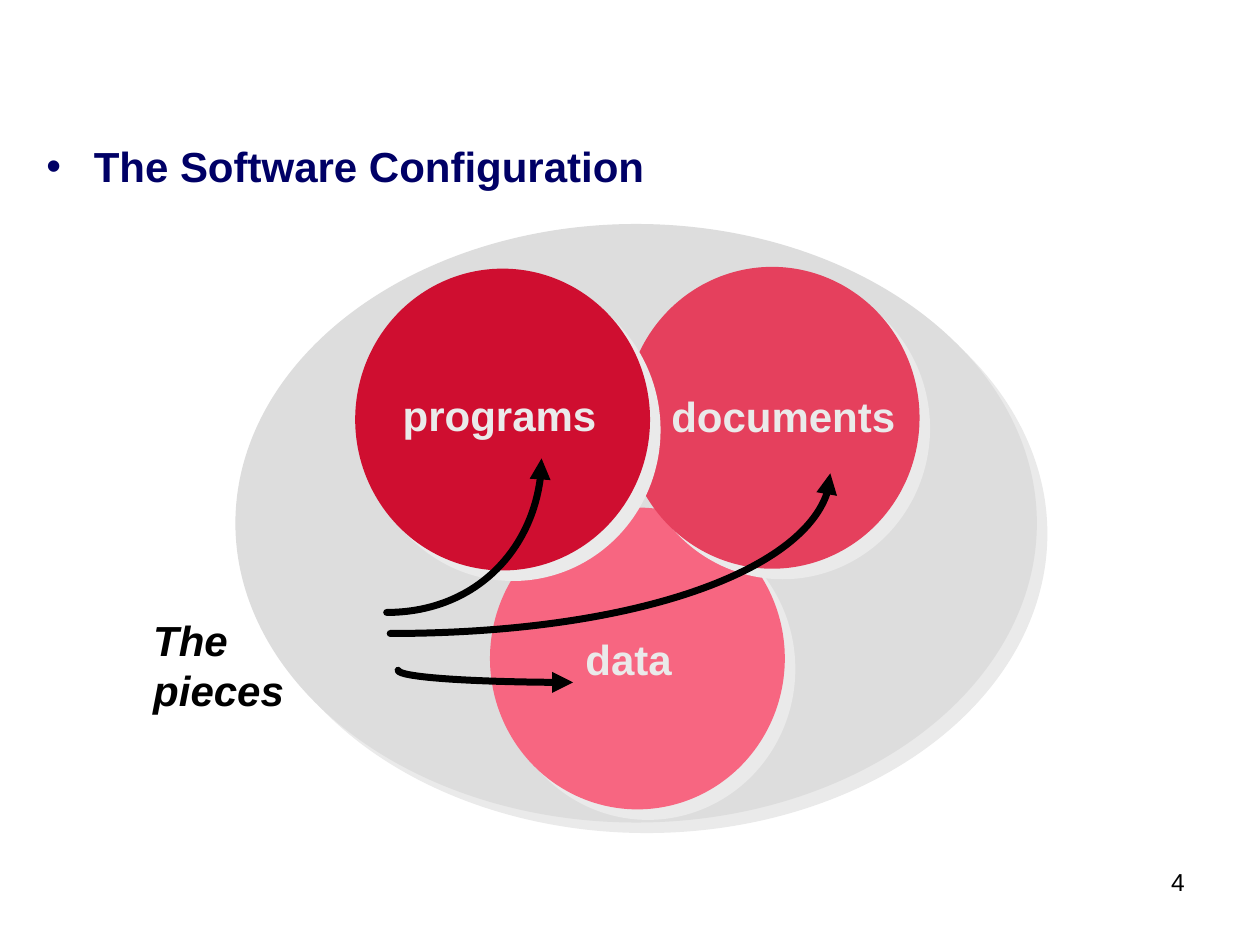
from dataclasses import dataclass

from lxml.etree import SubElement
from pptx import Presentation
from pptx.dml.color import RGBColor
from pptx.enum.shapes import MSO_SHAPE
from pptx.enum.text import MSO_ANCHOR, PP_ALIGN
from pptx.oxml.ns import qn
from pptx.util import Pt


@dataclass(frozen=True)
class Theme:
    font: str = "Arial"
    navy: str = "000066"
    black: str = "000000"
    pale: str = "EAEAEA"
    grey: str = "DDDDDD"
    red: str = "CF0E30"
    rose: str = "E5405D"
    pink: str = "F76681"
    body: int = 24
    small: int = 14
    stroke: int = 4


THEME = Theme()
BEND = 0.5523  # control distance of a quarter ellipse, as a share of its radius


def color(code):
    return RGBColor.from_string(code)


def add(parent, tag, **attrs):
    return SubElement(parent, qn(tag), {k: str(v) for k, v in attrs.items()})


def write(slide, text, box, size=THEME.body, ink=THEME.black, bold=True,
          italic=False, align=PP_ALIGN.LEFT, wrap=False, bullet=None):
    shape = slide.shapes.add_textbox(*map(Pt, box))
    frame = shape.text_frame
    frame.word_wrap = wrap
    frame.vertical_anchor = MSO_ANCHOR.TOP
    para = frame.paragraphs[0]
    para.alignment = align
    if bullet:
        props = para._p.get_or_add_pPr()
        props.set("marL", str(Pt(27)))
        props.set("indent", str(-Pt(27)))
        add(add(props, "a:buClr"), "a:srgbClr", val=ink)
        add(props, "a:buFont", typeface=THEME.font)
        add(props, "a:buChar", char=bullet)
    run = para.add_run()
    run.text = text
    font = run.font
    font.name, font.size = THEME.font, Pt(size)
    font.bold, font.italic = bold, italic
    font.color.rgb = color(ink)


def disc(slide, box, fill):
    """Draw an ellipse with a hard pale shadow at lower right."""
    shape = slide.shapes.add_shape(MSO_SHAPE.OVAL, *map(Pt, box))
    shape.fill.solid()
    shape.fill.fore_color.rgb = color(fill)
    shape.line.fill.background()
    shape.shadow.inherit = False
    effects = shape._element.spPr.find(qn("a:effectLst"))
    shade = add(effects, "a:outerShdw", blurRad=0, dist=Pt(8.5),
                dir=45 * 60000, algn="ctr", rotWithShape=0)
    add(shade, "a:srgbClr", val=THEME.pale)


def curve(slide, tip, tail, upward):
    """Draw a quarter-ellipse arrow that reaches its tip upward or sideways."""
    (x1, y1), (x2, y2) = tip, tail
    dx, dy = BEND * (x2 - x1), BEND * (y2 - y1)
    if upward:
        bends = [(x1, y1 + dy), (x2 - dx, y2)]
    else:
        bends = [(x1 + dx, y1), (x2, y2 - dy)]
    builder = slide.shapes.build_freeform(Pt(x1), Pt(y1))
    builder.add_line_segments([(Pt(x), Pt(y)) for x, y in bends + [tail]],
                              close=False)
    shape = builder.convert_to_shape()
    shape.fill.background()
    shape.shadow.inherit = False
    shape.line.color.rgb = color(THEME.black)
    shape.line.width = Pt(THEME.stroke)

    # The three straight steps become the points of one Bezier curve.
    route = next(shape._element.iter(qn("a:path")))
    bezier = add(route, "a:cubicBezTo")
    for step in route.findall(qn("a:lnTo")):
        bezier.append(step[0])
        route.remove(step)
    line = shape.line._get_or_add_ln()
    line.set("cap", "rnd")
    add(line, "a:round")
    add(line, "a:headEnd", type="triangle", w="med", len="med")


def heading(slide, box):
    write(slide, "The Software Configuration", box, ink=THEME.navy,
          wrap=True, bullet="•")


def diagram(slide, box):
    left, top, width, height = box
    disc(slide, box, THEME.grey)
    wide, high = 168.5, 172.5
    parts = [
        ("data", 145.5, 162, 193, 230.5, 63.5, THEME.pink),
        ("documents", 222.5, 24.5, 242, 91.5, 142.5, THEME.rose),
        ("programs", 68.5, 25.5, 88.5, 91, 125.5, THEME.red),
    ]
    for _, x, y, _, _, _, fill in parts:
        disc(slide, (left + x, top + y, wide, high), fill)
    for name, _, _, x, y, span, _ in parts:
        write(slide, name, (left + x, top + y, span, 36), ink=THEME.pale)
    write(slide, "The pieces", (left - 54, top + 219.5, 138, 36), italic=True)

    arrows = [
        ((193, 262), (93, 255), False),
        ((340, 142.5), (88.5, 234), True),
        ((175, 134), (86.5, 222), True),
    ]
    for tip, tail, upward in arrows:
        curve(slide, (left + tip[0], top + tip[1]),
              (left + tail[0], top + tail[1]), upward)


def footer(slide, box):
    write(slide, "4", box, size=THEME.small, bold=False,
          align=PP_ALIGN.RIGHT, wrap=True)


def main():
    deck = Presentation()
    deck.slide_width, deck.slide_height = Pt(720), Pt(540)
    slide = deck.slides.add_slide(deck.slide_layouts[6])
    footer(slide, (535.5, 492, 148.5, 37.5))
    heading(slide, (19.5, 77, 648, 57))
    diagram(slide, (134.5, 128, 458, 342))
    deck.save("out.pptx")


if __name__ == "__main__":
    main()
